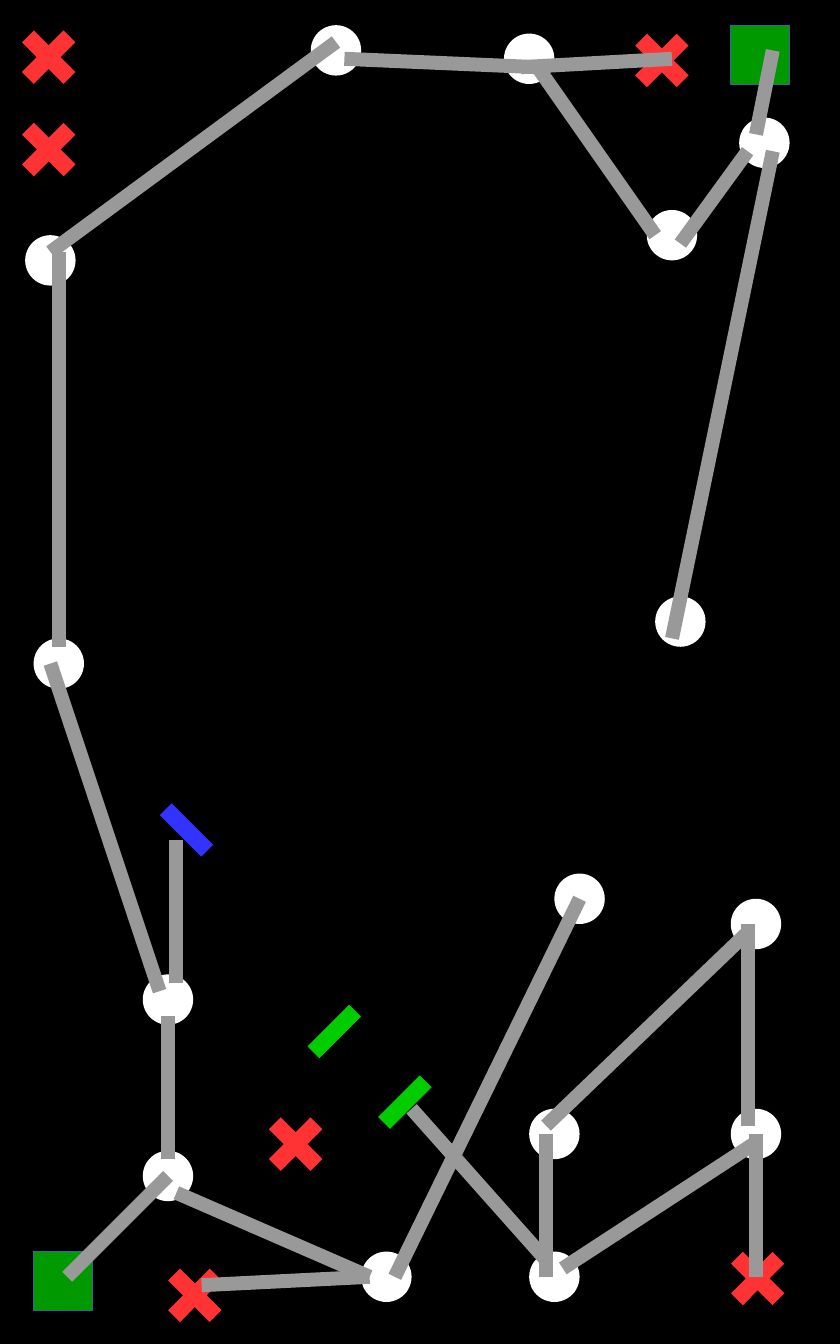
"""Draw a black map of white nodes, grey links, red crosses and coloured bars."""
from pptx import Presentation
from pptx.dml.color import RGBColor
from pptx.enum.shapes import MSO_CONNECTOR, MSO_SHAPE
from pptx.oxml.ns import qn
from pptx.util import Cm, Pt

BLACK = RGBColor(0x00, 0x00, 0x00)
WHITE = RGBColor(0xFF, 0xFF, 0xFF)
GREY = RGBColor(0x99, 0x99, 0x99)
RED = RGBColor(0xFF, 0x33, 0x33)
BLUE = RGBColor(0x33, 0x33, 0xFF)
LIGHT_GREEN = RGBColor(0x00, 0xCC, 0x00)
DARK_GREEN = RGBColor(0x00, 0x99, 0x00)
EDGE_BLUE = RGBColor(0x34, 0x65, 0xA4)

GRID = Cm(0.254)
BAR_LENGTH, BAR_WIDTH = 7, 2
SQUARE_SIDE, NODE_SIZE = 7, 6


def add_piece(shapes, kind, left, top, width, height, color):
    piece = shapes.add_shape(kind, *(round(GRID * n) for n in (left, top, width, height)))
    piece.shadow.inherit = False
    piece.fill.solid()
    piece.fill.fore_color.rgb = color
    piece.line.fill.background()
    return piece


def add_bar(shapes, center_x, center_y, angle, color):
    bar = add_piece(shapes, MSO_SHAPE.RECTANGLE, center_x - BAR_LENGTH / 2,
                    center_y - BAR_WIDTH / 2, BAR_LENGTH, BAR_WIDTH, color)
    bar.rotation = angle


presentation = Presentation()
presentation.slide_width = GRID * 100
presentation.slide_height = GRID * 160
slide = presentation.slides.add_slide(presentation.slide_layouts[6])
slide.background.fill.solid()
slide.background.fill.fore_color.rgb = BLACK

for left, top in [(4, 149), (87, 3)]:
    square = add_piece(slide.shapes, MSO_SHAPE.RECTANGLE, left, top,
                       SQUARE_SIDE, SQUARE_SIDE, DARK_GREEN)
    square.line.color.rgb = EDGE_BLUE
    square.line.width = Pt(0)

node_corners = [
    (17, 137), (17, 116), (43, 149), (4, 76), (3, 28),
    (63, 149), (87, 132), (87, 107), (63, 132), (66, 104),
    (37, 3), (60, 4), (88, 14), (77, 25), (78, 71),
]
for left, top in node_corners:
    add_piece(slide.shapes, MSO_SHAPE.OVAL, left, top, NODE_SIZE, NODE_SIZE, WHITE)

cross_centers = [(5.8, 17.8), (5.8, 6.8), (23.2, 154.2),
                 (90.2, 152.2), (78.8, 7.2), (35.2, 136.2)]
for center_x, center_y in cross_centers:
    cross = slide.shapes.add_group_shape()
    for angle in (315, 225):
        add_bar(cross.shapes, center_x, center_y, angle, RED)

add_bar(slide.shapes, 22.2, 98.8, 225, BLUE)
add_bar(slide.shapes, 48.2, 131.2, 315, LIGHT_GREEN)
add_bar(slide.shapes, 39.8, 122.8, 315, LIGHT_GREEN)

link_ends = [
    (8, 152, 20, 140), (21, 142, 44, 152), (65, 135, 65, 152),
    (90, 136, 67, 151), (24, 153, 44, 152), (49, 132, 65, 150),
    (90, 135, 90, 152), (89, 111, 65, 134), (89, 110, 89, 134),
    (92, 18, 80, 76), (92, 6, 90, 16), (89, 18, 81, 29),
    (64, 8, 78, 28), (41, 7, 64, 8), (62, 8, 80, 7),
    (6, 30, 40, 5), (20, 121, 20, 138), (21, 100, 21, 117),
    (6, 79, 19, 118), (7, 30, 7, 77), (47, 152, 69, 107),
]
for ends in link_ends:
    link = slide.shapes.add_connector(MSO_CONNECTOR.STRAIGHT, *(GRID * n for n in ends))
    link.line.color.rgb = GREY
    link.line.width = Pt(12)
    properties = link._element.spPr
    properties.append(properties.makeelement(qn("a:effectLst"), {}))

presentation.save("out.pptx")
